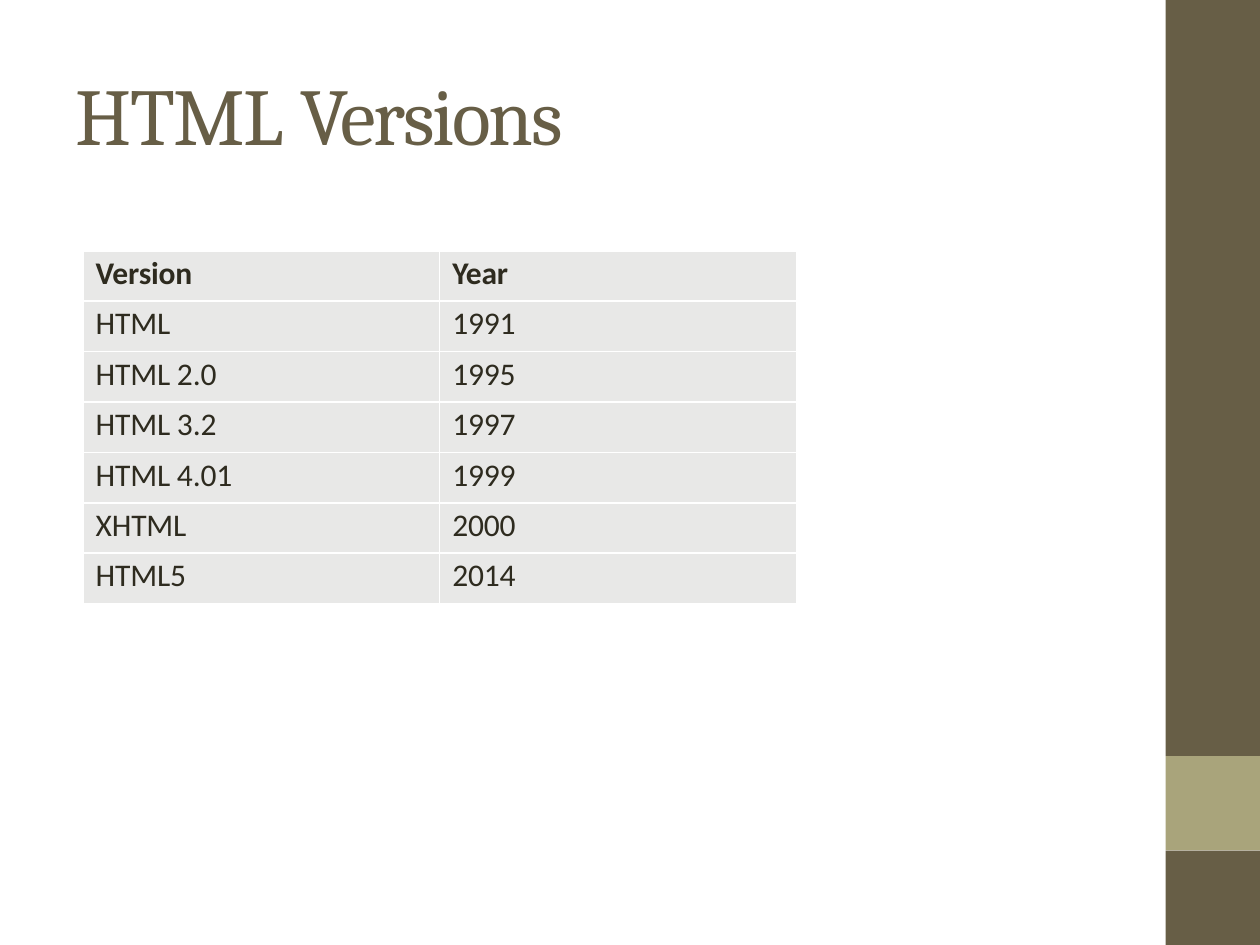
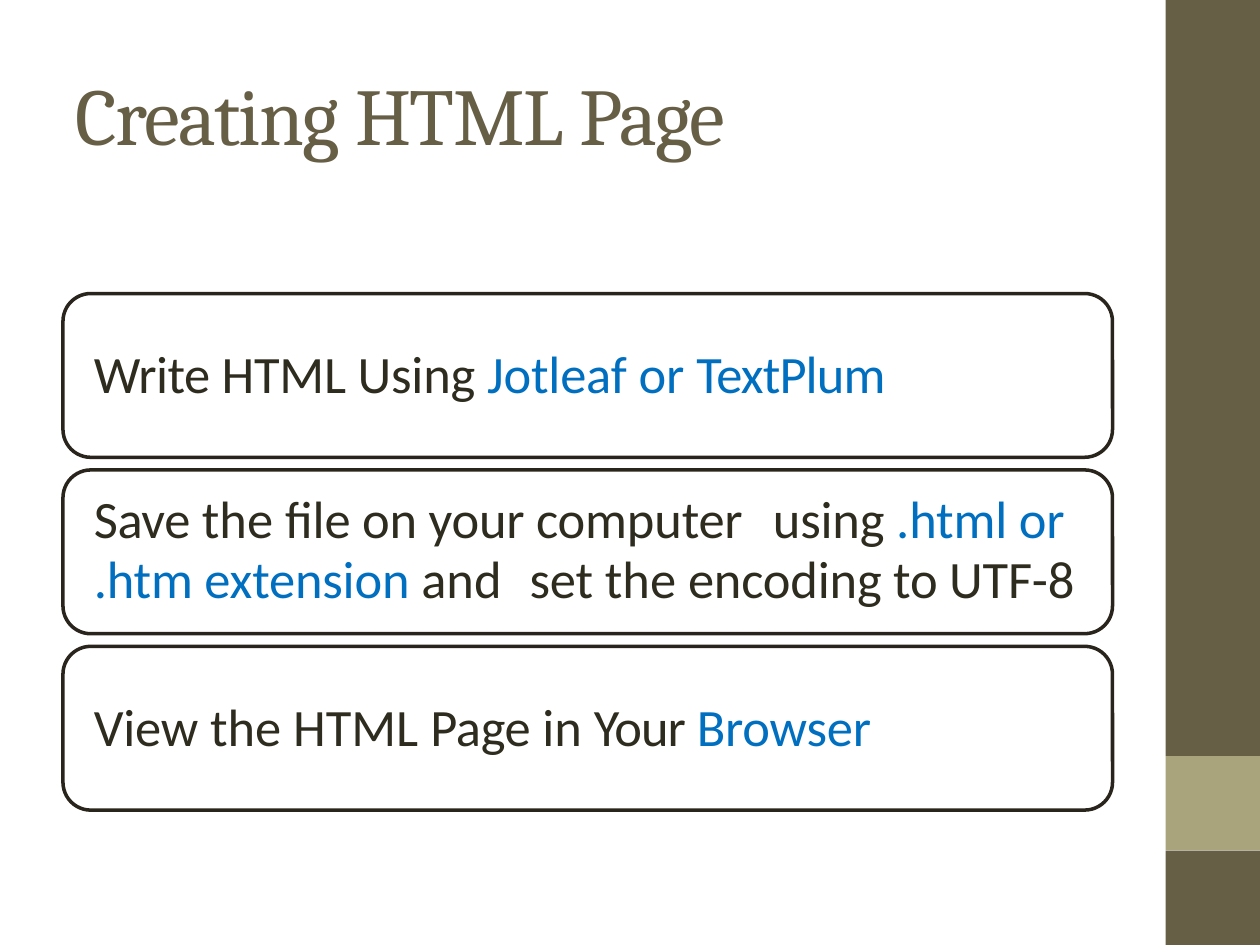
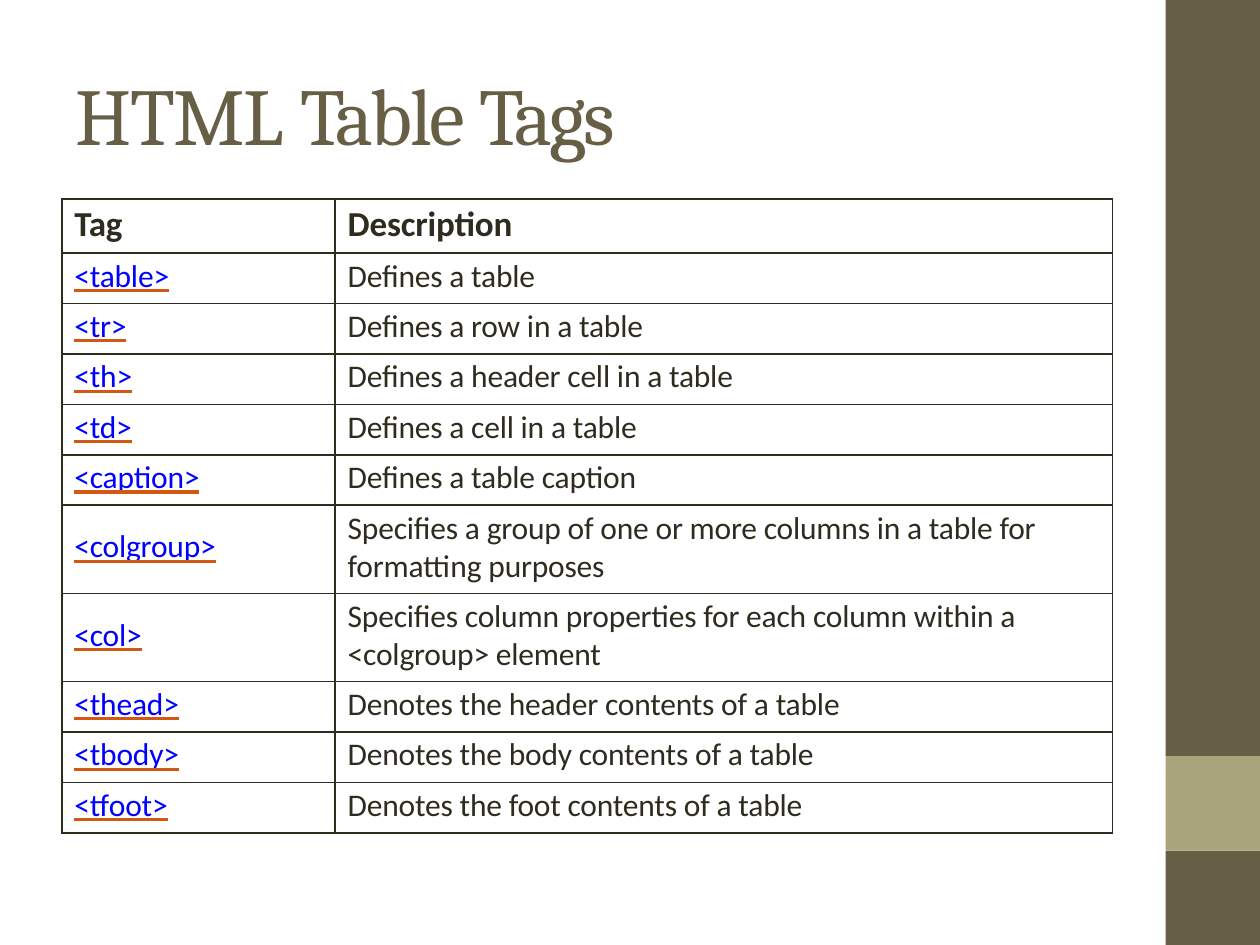
from lxml import etree
from pptx import Presentation
from pptx import util as u
from pptx.dml.color import RGBColor
from pptx.enum import shapes, text
from pptx.oxml.ns import qn

COLOURS = {
    "olive": "675E46", "sage": "A9A47B", "ink": "2E2B1F", "outline": "2A251C",
    "highlight": "006FC0", "link": "0000FF", "underline": "D25814",
    "grey": "E8E8E7", "white": "FFFFFF",
}
BODY_FONT, TITLE_FONT = "Calibri", "Cambria"

# Side bands: top, height, colour
BANDS = [(0, 6, "olive"), (6, 0.75, "sage"), (6.75, 0.75, "olive")]

# Titles: width, then runs of (text, letter spacing)
VERSIONS_TITLE = (4.03, [("HTML ", -0.8), ("Versions", -1.3)])
STEPS_TITLE = (5.35, [("Creating ", -1), ("HTML ", -0.8), ("Page", -1)])
TAGS_TITLE = (4.5, [("HTML ", -0.8), ("Table ", -1.6), ("Tags", -1.7)])

VERSIONS = [
    ("Version", "Year"),
    ("HTML", "1991"),
    ("HTML 2.0", "1995"),
    ("HTML 3.2", "1997"),
    ("HTML 4.01", "1999"),
    ("XHTML", "2000"),
    ("HTML5", "2014"),
]

# Steps: lines of (tab stop, runs), each run (text, colour, letter spacing)
STEPS = [
    [(None, [("Write ", "ink", -0.3), ("HTML Using ", "ink", -0.1),
             ("Jotleaf ", "highlight", -0.1), ("or ", "highlight", 0),
             ("TextPlum", "highlight", -0.5)])],
    [(5.39, [("Save ", "ink", -0.2), ("the ", "ink", 0),
             ("file on your computer\tusing ", "ink", -0.1),
             (".html or", "highlight", -0.1)]),
     (3.46, [(".htm extension ", "highlight", -0.1), ("and\t", "ink", 0),
             ("set ", "ink", -0.1), ("the ", "ink", 0),
             ("encoding to UTF-8", "ink", -0.1)])],
    [(None, [("View ", "ink", -0.1), ("the HTML ", "ink", 0),
             ("Page ", "ink", -0.2), ("in ", "ink", 0),
             ("Your ", "ink", -0.6), ("Browser", "highlight", -0.1)])],
]

TAGS = [
    ("Tag", "Description"),
    ("<table>", "Defines a table"),
    ("<tr>", "Defines a row in a table"),
    ("<th>", "Defines a header cell in a table"),
    ("<td>", "Defines a cell in a table"),
    ("<caption>", "Defines a table caption"),
    ("<colgroup>", "Specifies a group of one or more columns in a table for "
                   "formatting purposes"),
    ("<col>", "Specifies column properties for each column within a\n"
              "<colgroup> element"),
    ("<thead>", "Denotes the header contents of a table"),
    ("<tbody>", "Denotes the body contents of a table"),
    ("<tfoot>", "Denotes the foot contents of a table"),
]
TALL_TAGS = ("<colgroup>", "<col>")


def rgb(name):
    return RGBColor.from_string(COLOURS[name])


def add_run(paragraph, words, size, colour, spacing=0, font=BODY_FONT, bold=False):
    run = paragraph.add_run()
    run.text = words
    run.font.size = u.Pt(size)
    run.font.name = font
    run.font.bold = bold
    run.font.color.rgb = rgb(colour)
    run.font._element.set("spc", str(round(spacing * 100)))
    return run


def underline_link(run):
    """Underline a run in a colour of its own."""
    run.font.underline = True
    properties = run.font._element
    line_fill = etree.Element(qn("a:uFill"))
    solid = etree.SubElement(line_fill, qn("a:solidFill"))
    etree.SubElement(solid, qn("a:srgbClr"), val=COLOURS["underline"])
    properties.find(qn("a:solidFill")).addnext(line_fill)


def set_margins(holder, left, top, right=0, bottom=0):
    holder.margin_left, holder.margin_top = u.Inches(left), u.Inches(top)
    holder.margin_right, holder.margin_bottom = u.Inches(right), u.Inches(bottom)


def add_base_slide(presentation, title):
    """Add a slide with its side bands and title."""
    slide = presentation.slides.add_slide(presentation.slide_layouts[5])
    for top, height, colour in BANDS:
        band = slide.shapes.add_shape(
            shapes.MSO_SHAPE.RECTANGLE, u.Inches(9.25), u.Inches(top),
            u.Inches(0.75), u.Inches(height))
        band.shadow.inherit = False
        band.fill.solid()
        band.fill.fore_color.rgb = rgb(colour)
        band.line.fill.background()

    width, runs = title
    placeholder = slide.shapes.title
    placeholder.left, placeholder.top = u.Inches(0.59), u.Inches(0.51)
    placeholder.width, placeholder.height = u.Inches(width), u.Inches(0.79)
    frame = placeholder.text_frame
    frame.auto_size = text.MSO_AUTO_SIZE.NONE
    frame.vertical_anchor = text.MSO_ANCHOR.TOP
    set_margins(frame, 0.01, 0.01)
    paragraph = frame.paragraphs[0]
    paragraph.alignment = text.PP_ALIGN.LEFT
    for words, spacing in runs:
        add_run(paragraph, words, 46, "olive", spacing, TITLE_FONT)
    return slide


def set_borders(cell, colour):
    properties = cell._tc.get_or_add_tcPr()
    for side in ("lnL", "lnR", "lnT", "lnB"):
        line = etree.SubElement(properties, qn(f"a:{side}"), w=str(u.Pt(1)))
        solid = etree.SubElement(line, qn("a:solidFill"))
        etree.SubElement(solid, qn("a:srgbClr"), val=COLOURS[colour])


def add_grid(slide, rows, left, top, widths, heights, border, fill=None,
             header_size=18, links=False):
    table = slide.shapes.add_table(
        len(rows), len(widths), u.Inches(left), u.Inches(top),
        u.Inches(sum(widths)), u.Inches(sum(heights))).table
    table.horz_banding = False
    for column, width in zip(table.columns, widths):
        column.width = u.Inches(width)
    for row_index, values in enumerate(rows):
        table.rows[row_index].height = u.Inches(heights[row_index])
        header = row_index == 0
        for column_index, value in enumerate(values):
            cell = table.cell(row_index, column_index)
            set_margins(cell, 0.1, 0.18 if value in TALL_TAGS else 0.03)
            set_borders(cell, border)
            if fill:
                cell.fill.solid()
                cell.fill.fore_color.rgb = rgb(fill)
            else:
                cell.fill.background()
            is_link = links and column_index == 0 and not header
            for line_index, line in enumerate(value.split("\n")):
                frame = cell.text_frame
                paragraph = frame.add_paragraph() if line_index else frame.paragraphs[0]
                run = add_run(paragraph, line, header_size if header else 18,
                              "link" if is_link else "ink", -0.1, bold=header)
                if is_link:
                    underline_link(run)


def add_tab_stop(paragraph, position):
    tabs = etree.SubElement(paragraph._p.get_or_add_pPr(), qn("a:tabLst"))
    etree.SubElement(tabs, qn("a:tab"), pos=str(u.Inches(position)), algn="l")


def add_step(slide, top, height, lines):
    box = slide.shapes.add_shape(
        shapes.MSO_SHAPE.ROUNDED_RECTANGLE, u.Inches(0.5), u.Inches(top),
        u.Inches(8.33), u.Inches(height))
    box.adjustments[0] = 0.17
    box.shadow.inherit = False
    box.fill.solid()
    box.fill.fore_color.rgb = rgb("white")
    box.line.color.rgb = rgb("outline")
    box.line.width = u.Pt(2)
    frame = box.text_frame
    frame.word_wrap = True
    frame.vertical_anchor = text.MSO_ANCHOR.MIDDLE
    set_margins(frame, 0.18, 0, 0.1, 0.05)
    for index, (tab_stop, runs) in enumerate(lines):
        paragraph = frame.add_paragraph() if index else frame.paragraphs[0]
        paragraph.alignment = text.PP_ALIGN.LEFT
        if len(lines) > 1:
            paragraph.line_spacing = u.Pt(34.5)
        if tab_stop:
            add_tab_stop(paragraph, tab_stop)
        for words, colour, spacing in runs:
            add_run(paragraph, words, 30, colour, spacing)


def main():
    presentation = Presentation()
    presentation.slide_width, presentation.slide_height = u.Inches(10), u.Inches(7.5)

    slide = add_base_slide(presentation, VERSIONS_TITLE)
    add_grid(slide, VERSIONS, 0.66, 1.99, [2.83, 2.83], [0.4] * len(VERSIONS),
             "white", fill="grey")

    slide = add_base_slide(presentation, STEPS_TITLE)
    step_height, gap = 1.3, 0.1
    for index, lines in enumerate(STEPS):
        add_step(slide, 2.33 + index * (step_height + gap), step_height, lines)

    slide = add_base_slide(presentation, TAGS_TITLE)
    heights = [0.43] + [0.7 if tag in TALL_TAGS else 0.4 for tag, _ in TAGS[1:]]
    add_grid(slide, TAGS, 0.49, 1.58, [2.17, 6.17], heights, "ink",
             header_size=20, links=True)

    presentation.save("out.pptx")


if __name__ == "__main__":
    main()
